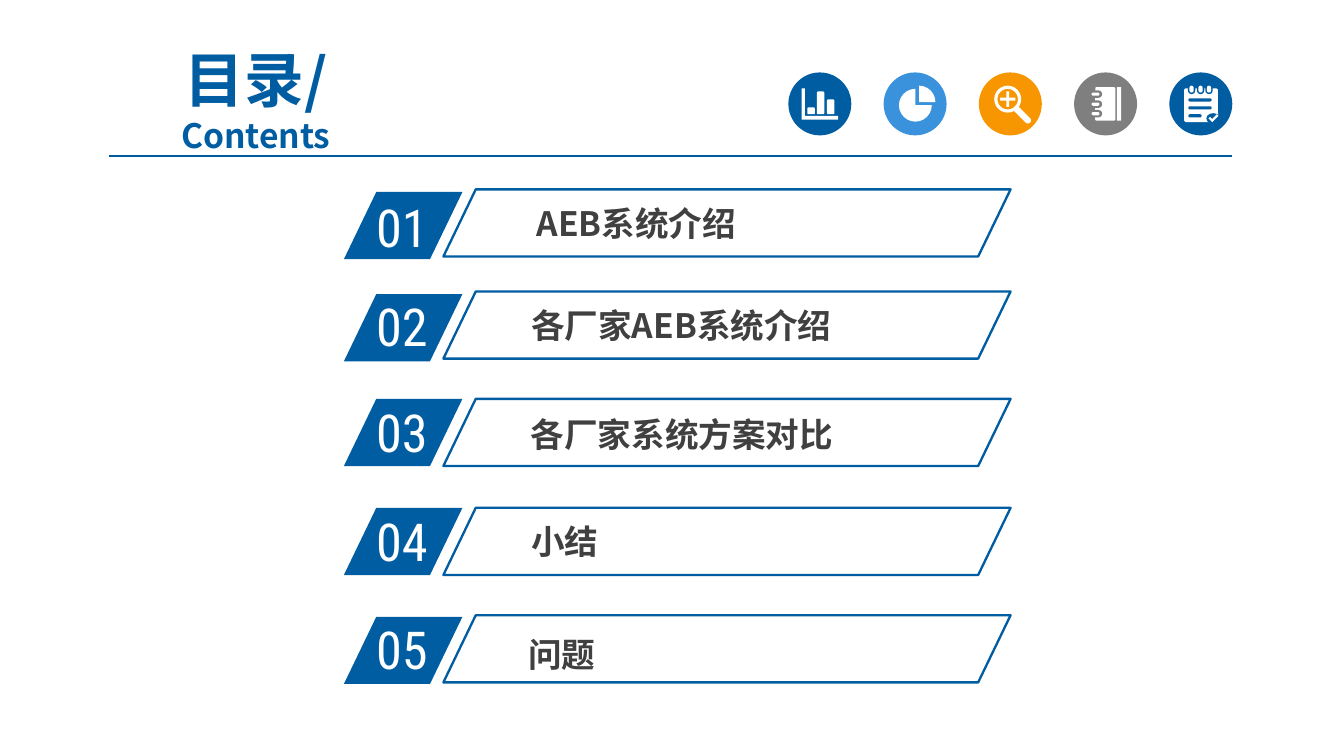
"""Build a contents slide with five numbered entries and a row of round icons."""
import pptx
import pptx.dml.color
import pptx.enum.shapes
import pptx.enum.text
import pptx.oxml.ns
import pptx.util
from lxml import etree

Cm, Pt = pptx.util.Cm, pptx.util.Pt
RGBColor = pptx.dml.color.RGBColor
SHAPE = pptx.enum.shapes.MSO_SHAPE
NAVY = RGBColor(0x00, 0x5D, 0xA2)
RULE = RGBColor(0x00, 0x5B, 0x9E)
SKY = RGBColor(0x39, 0x92, 0xDB)
ORANGE = RGBColor(0xF7, 0x96, 0x00)
GREY = RGBColor(0x7F, 0x7F, 0x7F)
INK = RGBColor(0x40, 0x40, 0x40)
WHITE = RGBColor(0xFF, 0xFF, 0xFF)
SANS, CONDENSED = "Noto Sans CJK SC", "Roboto Condensed"
ICON_TOP, ICON_SIZE, ICON_STEP = 1.37, 1.19, 1.8


class Painter:
    def __init__(self, page):
        self.page = page
        self.left = self.top = 0

    def move_to(self, left, top):
        self.left, self.top = left, top

    def shape(self, kind, x, y, width, height, fill=WHITE, line=None, adjust=(), turn=0):
        shape = self.page.shapes.add_shape(
            kind, Cm(self.left + x), Cm(self.top + y), Cm(width), Cm(height))
        for index, value in enumerate(adjust):
            shape.adjustments[index] = value
        shape.rotation = turn
        self.paint(shape, fill, line)

    def outline(self, points, fill=WHITE):
        spots = [(Cm(self.left + x), Cm(self.top + y)) for x, y in points]
        builder = self.page.shapes.build_freeform(*spots[0])
        builder.add_line_segments(spots[1:], close=True)
        self.paint(builder.convert_to_shape(), fill)

    def paint(self, shape, fill, line=None):
        shape.shadow.inherit = False
        if fill is None:
            shape.fill.background()
        else:
            shape.fill.solid()
            shape.fill.fore_color.rgb = fill
        if line is None:
            shape.line.fill.background()
        else:
            shape.line.color.rgb = line
            shape.line.width = Pt(1.25)

    def pill(self, x, y, width, height, fill=WHITE):
        self.shape(SHAPE.ROUNDED_RECTANGLE, x, y, width, height, fill, adjust=(0.5,))

    def rule(self, x1, x2, y):
        line = self.page.shapes.add_connector(
            pptx.enum.shapes.MSO_CONNECTOR.STRAIGHT, Cm(x1), Cm(y), Cm(x2), Cm(y))
        line.line.color.rgb = RULE
        line.line.width = Pt(0.75)
        etree.SubElement(line._element.spPr, pptx.oxml.ns.qn("a:effectLst"))

    def text(self, x, y, width, height, lines, face, color, bold=False, inset=(0.25, 0.13)):
        box = self.page.shapes.add_textbox(Cm(x), Cm(y), Cm(width), Cm(height))
        frame = box.text_frame
        frame.word_wrap = True
        frame.margin_left = frame.margin_right = Cm(inset[0])
        frame.margin_top = frame.margin_bottom = Cm(inset[1])
        para = frame.paragraphs[0]
        para.font.name, para.font.bold = face, bold
        para.font.color.rgb = color
        para.font.size = Pt(lines[0][1])
        east = etree.SubElement(para._p.pPr.defRPr, pptx.oxml.ns.qn("a:ea"))
        east.set("typeface", face)
        for index, (words, size) in enumerate(lines):
            if index:
                para.add_line_break()
            span = para.add_run()
            span.text = words
            if len(lines) > 1:
                span.font.size = Pt(size)
        return frame

    def entry(self, number, title, badge_y, frame_y, number_y, title_x, title_y):
        self.shape(SHAPE.PARALLELOGRAM, 6.5, badge_y, 2.24, 1.27, NAVY, adjust=(0.482,))
        self.text(6.86, number_y, 2.13, 1.25, [(number, 28)], CONDENSED, WHITE)
        self.shape(SHAPE.PARALLELOGRAM, 8.38, frame_y, 10.72, 1.27, None, NAVY, (0.482,))
        self.text(title_x, title_y, 7.85, 0.97, [(title, 18)], SANS, INK, True, (0.18, 0.1))


def draw_bars(painter):
    painter.outline([(0.25, 0.3), (0.31, 0.3), (0.31, 0.82), (0.94, 0.82),
                     (0.94, 0.89), (0.25, 0.89)])
    for x, y in ((0.36, 0.66), (0.54, 0.36), (0.73, 0.51)):
        painter.shape(SHAPE.ROUNDED_RECTANGLE, x, y, 0.14, 0.79 - y)


def draw_pie(painter):
    painter.shape(SHAPE.PIE, 0.29, 0.31, 0.62, 0.62, adjust=(0, 162))
    painter.shape(SHAPE.PIE, 0.36, 0.25, 0.62, 0.62, adjust=(162, 0))


def draw_magnifier(painter):
    painter.shape(SHAPE.DONUT, 0.29, 0.25, 0.51, 0.51, adjust=(0.12,))
    painter.shape(SHAPE.CROSS, 0.4, 0.36, 0.29, 0.29, adjust=(0.41,))
    painter.shape(SHAPE.ROUNDED_RECTANGLE, 0.61, 0.74, 0.42, 0.12, adjust=(0.5,), turn=45)


def draw_notebook(painter):
    painter.shape(SHAPE.ROUNDED_RECTANGLE, 0.4, 0.28, 0.38, 0.63, adjust=(0.06,))
    painter.shape(SHAPE.RECTANGLE, 0.81, 0.28, 0.08, 0.63)
    for y in (0.34, 0.53, 0.71):
        painter.pill(0.33, y, 0.2, 0.14, GREY)
        painter.pill(0.33, y + 0.04, 0.15, 0.06)


def draw_checklist(painter):
    painter.shape(SHAPE.ROUNDED_RECTANGLE, 0.28, 0.3, 0.64, 0.64, adjust=(0.06,))
    for x in (0.42, 0.59, 0.75):
        painter.pill(x - 0.07, 0.23, 0.14, 0.18, NAVY)
        painter.pill(x - 0.04, 0.25, 0.08, 0.13)
    for y, width in ((0.49, 0.44), (0.64, 0.44), (0.79, 0.25)):
        painter.pill(0.36, y, width, 0.06, NAVY)
    painter.shape(SHAPE.OVAL, 0.7, 0.77, 0.26, 0.2, NAVY)
    painter.outline([(0.74, 0.87), (0.77, 0.84), (0.81, 0.88), (0.9, 0.79),
                     (0.93, 0.82), (0.81, 0.94)])


ICONS = ((NAVY, draw_bars), (SKY, draw_pie), (ORANGE, draw_magnifier),
         (GREY, draw_notebook), (NAVY, draw_checklist))
ENTRIES = (
    ("01", "AEB系统介绍", 3.63, 3.58, 3.56, 9.96, 3.73),
    ("02", "各厂家AEB系统介绍", 5.56, 5.51, 5.44, 9.86, 5.66),
    ("03", "各厂家系统方案对比", 7.54, 7.54, 7.44, 9.85, 7.73),
    ("04", "小结", 9.6, 9.6, 9.5, 9.86, 9.75),
    ("05", "问题", 11.66, 11.63, 11.53, 9.8, 11.89),
)


def main():
    deck = pptx.Presentation()
    deck.slide_width, deck.slide_height = Cm(25.4), Cm(14.29)
    painter = Painter(deck.slides.add_slide(deck.slide_layouts[6]))

    title = painter.text(1.7, 1.19, 6.27, 1.37, [("目录/", 32), ("Contents", 18)],
                         SANS, NAVY, True)
    title.vertical_anchor = pptx.enum.text.MSO_ANCHOR.MIDDLE
    title.paragraphs[0].alignment = pptx.enum.text.PP_ALIGN.CENTER
    painter.rule(2.06, 23.29, 2.95)

    for entry in ENTRIES:
        painter.entry(*entry)

    for index, (color, draw) in enumerate(ICONS):
        painter.move_to(14.9 + index * ICON_STEP, ICON_TOP)
        painter.shape(SHAPE.OVAL, 0, 0, ICON_SIZE, ICON_SIZE, color)
        draw(painter)

    deck.save("out.pptx")


if __name__ == "__main__":
    main()
